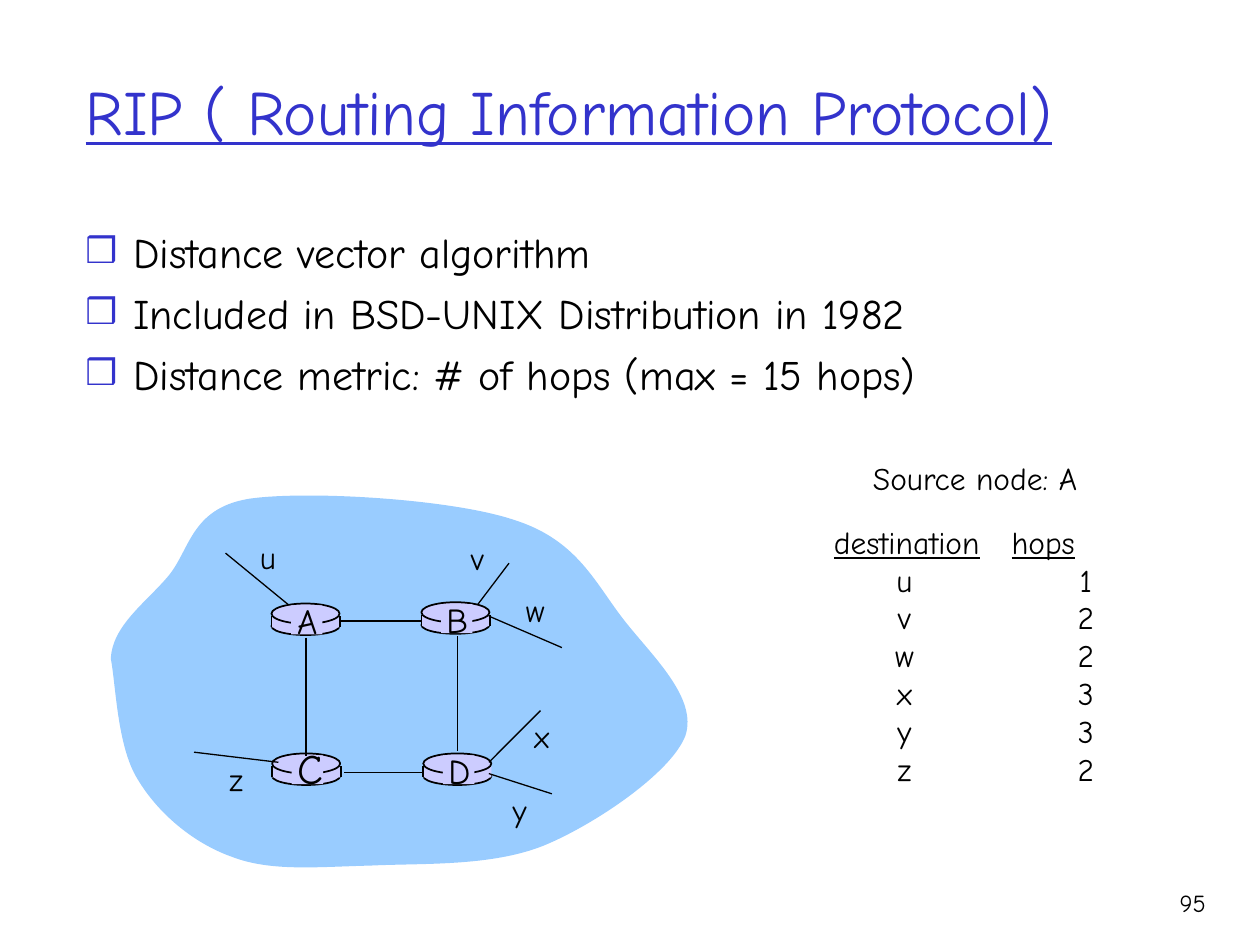
from lxml.etree import SubElement
from pptx import Presentation
from pptx.dml.color import RGBColor
from pptx.enum.shapes import MSO_CONNECTOR as CONN, MSO_SHAPE as SHAPE
from pptx.enum.text import MSO_ANCHOR as ANCHOR, MSO_AUTO_SIZE as FIT, PP_ALIGN as ALIGN
from pptx.oxml.ns import qn
from pptx.util import Inches, Pt

FONT, BLACK, BLUE, SKY, LILAC = "Comic Neue", "000000", "3333CC", "99CCFF", "CCCCFF"
rgb = RGBColor.from_string

prs = Presentation()
prs.slide_width, prs.slide_height = Inches(10), Inches(7.5)
s = prs.slides.add_slide(prs.slide_layouts[5])
UNIT = prs.slide_width / 100  # square grid: 100 columns by 75 rows


def grid(*cells):
    return [round(c * UNIT) for c in cells]


def add_run(p, text, size, color=BLACK, underline=False):
    r = p.add_run()
    r.text = text
    r.font.name, r.font.size, r.font.underline = FONT, Pt(size), underline
    r.font.color.rgb = rgb(color)


# Title
title = s.shapes.title
title.left, title.top, title.width, title.height = grid(5.8, 2.5, 89.4, 12.5)
tf = title.text_frame
tf.auto_size, tf.vertical_anchor = FIT.NONE, ANCHOR.MIDDLE
tf.paragraphs[0].alignment = ALIGN.LEFT
add_run(tf.paragraphs[0], "RIP ( Routing Information Protocol)", 36, BLUE, True)

# Bullets
tf = s.shapes.add_textbox(*grid(5.8, 17.5, 90, 18.5)).text_frame
tf.word_wrap = True
bullets = ["Distance vector algorithm",
           "Included in BSD-UNIX Distribution in 1982",
           "Distance metric: # of hops (max = 15 hops)"]
for i, text in enumerate(bullets):
    p = tf.add_paragraph() if i else tf.paragraphs[0]
    pPr = p._p.get_or_add_pPr()
    pPr.set("marL", str(Inches(0.38)))
    pPr.set("indent", str(-Inches(0.38)))
    SubElement(SubElement(pPr, qn("a:buClr")), qn("a:srgbClr")).set("val", BLUE)
    SubElement(pPr, qn("a:buSzPct")).set("val", "85000")
    SubElement(pPr, qn("a:buFont")).set("typeface", FONT)
    SubElement(pPr, qn("a:buChar")).set("char", "❒")
    if i:
        p.space_before = Pt(6)
    add_run(p, text, 24)

# Network cloud: cubic curves, each with two controls and an end
start = (8.8, 52.3)
curves = [
    ((8.9, 49.7), (11.5, 47.9), (13.3, 45.8)), ((15.1, 43.7), (15.1, 40.4), (19.7, 39.6)),
    ((24.3, 38.9), (36, 39.6), (40.9, 41.3)), ((45.9, 42.9), (47.3, 46.4), (49.6, 49.3)),
    ((51.8, 52.1), (55.4, 55.4), (54.4, 58.4)), ((53.3, 61.3), (47.3, 65.4), (43.2, 67.1)),
    ((39, 68.8), (33.5, 68.5), (29.4, 68.7)), ((25.2, 68.8), (21.5, 69.2), (18.4, 68)),
    ((15.3, 66.9), (12.5, 64.5), (10.9, 61.8)), ((9.3, 59.2), (9.2, 54.3), start),
]
builder = s.shapes.build_freeform(*grid(*start))
builder.add_line_segments([grid(*point) for curve in curves for point in curve], close=True)
cloud = builder.convert_to_shape()
cloud.shadow.inherit = False
cloud.fill.solid()
cloud.fill.fore_color.rgb = rgb(SKY)
cloud.line.fill.background()

# Turn every three line segments into one curve
path = cloud._element.find(".//" + qn("a:path"))
segments = path.findall(qn("a:lnTo"))
close = path.find(qn("a:close"))
for i in range(0, len(segments), 3):
    bezier = SubElement(path, qn("a:cubicBezTo"))
    for segment in segments[i:i + 3]:
        bezier.append(segment[0])
        path.remove(segment)
path.append(close)

# Routers: base, body, top and a patch behind the letter
routers = [("A", 21.55, 47.9, 20), ("B", 33.45, 47.8, 20),
           ("C", 21.6, 59.8, 24), ("D", 33.6, 59.8, 20)]
parts = [(SHAPE.OVAL, 0, 1.1, 5.4, 1.4, True), (SHAPE.RECTANGLE, 0, 1, 5.4, 0.9, False),
         (SHAPE.OVAL, 0, 0, 5.4, 1.6, True), (SHAPE.RECTANGLE, 1.55, 0.15, 2.5, 2.3, False)]
lines = []
for name, x, y, size in routers:
    for kind, dx, dy, w, h, outlined in parts:
        sp = s.shapes.add_shape(kind, *grid(x + dx, y + dy, w, h))
        sp.shadow.inherit = False
        sp.fill.solid()
        sp.fill.fore_color.rgb = rgb(LILAC)
        if outlined:
            sp.line.color.rgb, sp.line.width = rgb(BLACK), Pt(1)
        else:
            sp.line.fill.background()
    sides = [x] if name == "D" else [x, x + 5.45]
    lines += [(side, y + 1, side, y + 1.9, 1) for side in sides]

# Links between routers, then links leaving them
lines += [(36.3, 50.5, 36.3, 59.6, 1), (24.3, 50.6, 24.3, 60, 1),
          (33.6, 61.3, 27.3, 61.3, 1), (33.5, 49.3, 27.1, 49.3, 1),
          (38.8, 48.9, 44.6, 51.4, 0.75), (37.9, 48, 40.4, 44.7, 0.75),
          (38.8, 60.5, 42.9, 56.4, 0.75), (38.8, 61.4, 43.8, 63, 0.75),
          (22.9, 48, 17.9, 43.9, 0.75), (22.1, 60.5, 15.4, 59.7, 0.75)]
for *ends, width in lines:
    link = s.shapes.add_connector(CONN.STRAIGHT, *grid(*ends))
    link.line.color.rgb, link.line.width = rgb(BLACK), Pt(width)
    SubElement(link._element.spPr, qn("a:effectLst"))

# Letters: centre, box width and height, size
letters = [(name, x + 2.85, y + (1.1 if size == 24 else 1.35), 3.7, size / 5 + 0.4, size)
           for name, x, y, size in routers]
letters += [(name, x, y, 3.2, 4, 18) for name, x, y in [
    ("u", 21.25, 44.2), ("v", 37.9, 44.3), ("w", 42.35, 48.4),
    ("x", 43, 58.4), ("y", 41.25, 64.3), ("z", 18.75, 61.8)]]
for name, x, y, w, h, size in letters:
    tf = s.shapes.add_textbox(*grid(x - w / 2, y - h / 2, w, h)).text_frame
    tf.word_wrap, tf.vertical_anchor = False, ANCHOR.MIDDLE
    tf.paragraphs[0].alignment = ALIGN.CENTER
    add_run(tf.paragraphs[0], name, size)

# Hop counts from the source node
tf = s.shapes.add_textbox(*grid(68.3, 35.9, 18.3, 4)).text_frame
tf.word_wrap = False
add_run(tf.paragraphs[0], "Source node: A", 18)

tf = s.shapes.add_textbox(*grid(65.2, 41, 22.8, 25)).text_frame
tf.word_wrap = True
hops = {"u": 1, "v": 2, "w": 2, "x": 3, "y": 3, "z": 2}
for i, (node, count) in enumerate([("destination", "hops"), *hops.items()]):
    p = tf.add_paragraph() if i else tf.paragraphs[0]
    header = i == 0
    stops = [(14.1, "l")] if header else [(5.6, "ctr"), (20, "ctr")]
    tabs = SubElement(p._p.get_or_add_pPr(), qn("a:tabLst"))
    for pos, align in stops:
        SubElement(tabs, qn("a:tab"), pos=str(grid(pos)[0]), algn=align)
    if not header:
        add_run(p, "\t", 18)
    add_run(p, node, 18, underline=header)
    add_run(p, "\t", 18)
    add_run(p, str(count), 18, underline=header)

# Slide number
tf = s.shapes.add_textbox(*grid(89.3, 70, 7.4, 5)).text_frame
tf.word_wrap = True
tf.paragraphs[0].alignment = ALIGN.RIGHT
add_run(tf.paragraphs[0], "95", 14)

prs.save("out.pptx")
